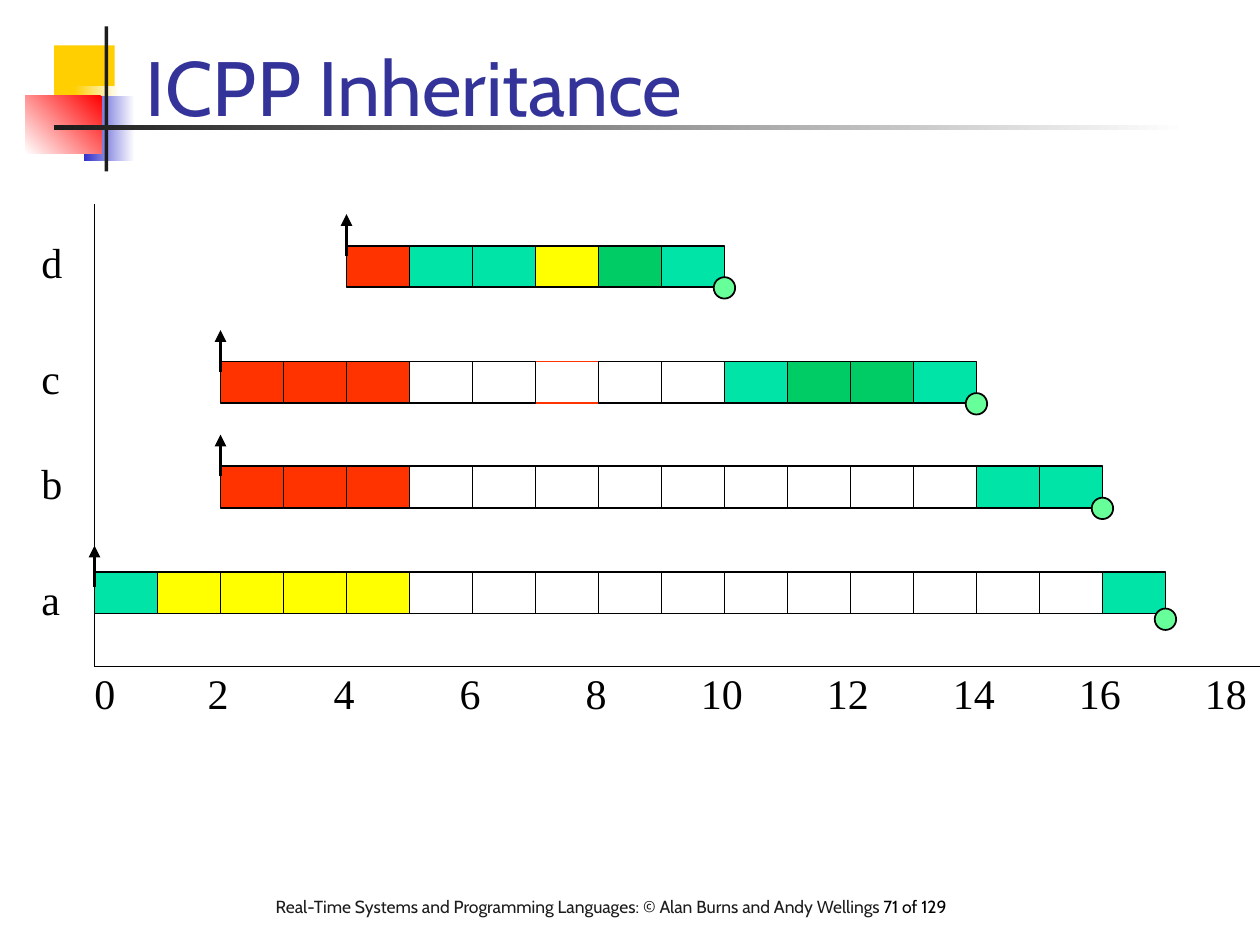
from dataclasses import dataclass
from typing import Optional

from lxml import etree
from pptx import Presentation
from pptx.dml import color
from pptx.enum import shapes, text
from pptx.oxml import ns
from pptx.util import Inches, Pt

RGB = color.RGBColor
BLACK = RGB(0x00, 0x00, 0x00)
WHITE = RGB(0xFF, 0xFF, 0xFF)
CHARCOAL = RGB(0x1C, 0x1C, 0x1C)
GOLD = RGB(0xFF, 0xCF, 0x01)
BLUE = RGB(0x33, 0x33, 0xCC)
NAVY = RGB(0x33, 0x33, 0x99)
PURE_RED = RGB(0xFF, 0x00, 0x00)
RED = RGB(0xFF, 0x33, 0x00)
YELLOW = RGB(0xFF, 0xFF, 0x00)
TEAL = RGB(0x00, 0xE4, 0xA8)
GREEN = RGB(0x00, 0xCC, 0x66)
MINT = RGB(0x66, 0xFF, 0x99)

CELL_FILLS = {"r": RED, "y": YELLOW, "t": TEAL, "g": GREEN, ".": None, "o": None}
ORIGIN_X, AXIS_TOP, AXIS_Y = 0.75, 1.62, 5.29
CELL_WIDTH, CELL_HEIGHT = 0.5, 0.33
DOT_SIZE = 0.17
RECTANGLE = shapes.MSO_SHAPE.RECTANGLE
OVAL = shapes.MSO_SHAPE.OVAL


@dataclass(frozen=True)
class Ornament:
    left: float
    top: float
    width: float
    height: float
    colors: tuple
    angle: int = 180


@dataclass(frozen=True)
class Task:
    name: str
    start: int
    cells: str
    bar_top: float
    marker_top: float
    label_top: float


@dataclass(frozen=True)
class Run:
    words: str
    size: int
    font: str
    tint: RGB


ORNAMENTS = (
    Ornament(0.43, 0.36, 0.48, 0.52, (GOLD,)),
    Ornament(0.59, 0.68, 0.36, 0.52, (WHITE, GOLD)),
    Ornament(0.67, 0.76, 0.4, 0.52, (WHITE, BLUE)),
    Ornament(0.2, 0.76, 0.61, 0.46, (PURE_RED, WHITE), 225),
    Ornament(0.83, 0.21, 0.03, 1.15, (CHARCOAL,)),
    Ornament(0.43, 0.99, 9, 0.04, (WHITE, CHARCOAL)),
)
TASKS = (
    Task("a", 0, "tyyyy" + "." * 11 + "t", 4.54, 4.58, 4.5),
    Task("b", 2, "rrr" + "." * 9 + "tt", 3.7, 3.7, 3.58),
    Task("c", 2, "rrr..o..tggt", 2.87, 2.87, 2.75),
    Task("d", 4, "rttygt", 1.95, 1.95, 1.83),
)


def time_x(time: int) -> float:
    return ORIGIN_X + time * CELL_WIDTH


def add_figure(page, kind, left: float, top: float, width: float, height: float,
               fill: Optional[RGB] = None, outline: Optional[RGB] = None):
    figure = page.shapes.add_shape(
        kind, Inches(left), Inches(top), Inches(width), Inches(height))
    figure.shadow.inherit = False
    if fill is None:
        figure.fill.background()
    else:
        figure.fill.solid()
        figure.fill.fore_color.rgb = fill
    if outline is None:
        figure.line.fill.background()
    else:
        figure.line.color.rgb = outline
        figure.line.width = Pt(1)
    return figure


def add_ornament(page, ornament: Ornament) -> None:
    figure = add_figure(page, RECTANGLE, ornament.left, ornament.top,
                        ornament.width, ornament.height, ornament.colors[0])
    if len(ornament.colors) > 1:
        figure.fill.gradient()
        figure.fill.gradient_angle = ornament.angle
        for stop, tint in zip(figure.fill.gradient_stops, ornament.colors):
            stop.color.rgb = tint


def add_line(page, start: tuple, end: tuple, width: float = 1, arrow: bool = False) -> None:
    line = page.shapes.add_connector(
        shapes.MSO_CONNECTOR.STRAIGHT, *(Inches(value) for value in start + end))
    line.line.color.rgb = BLACK
    line.line.width = Pt(width)
    if arrow:
        etree.SubElement(line.line._get_or_add_ln(), ns.qn("a:tailEnd"), type="triangle")
    etree.SubElement(line._element.spPr, ns.qn("a:effectLst"))


def add_text(page, left: float, top: float, width: float, height: float,
             runs: tuple, frame_format: dict) -> None:
    box = page.shapes.add_textbox(
        Inches(left), Inches(top), Inches(width), Inches(height))
    for name, value in frame_format.items():
        setattr(box.text_frame, name, value)
    para = box.text_frame.paragraphs[0]
    for run in runs:
        span = para.add_run()
        span.text = run.words
        for name, value in {"size": Pt(run.size), "name": run.font}.items():
            setattr(span.font, name, value)
        span.font.color.rgb = run.tint


def add_label(page, words: str, left: float, top: float, width: float) -> None:
    add_text(page, left, top, width, 0.5, (Run(words, 24, "Times New Roman", BLACK),),
             {"word_wrap": False, "auto_size": text.MSO_AUTO_SIZE.SHAPE_TO_FIT_TEXT})


def add_task(page, task: Task) -> None:
    cells = sorted(enumerate(task.cells, task.start), key=lambda cell: cell[1] != "o")
    for time, state in cells:
        add_figure(page, RECTANGLE, time_x(time), task.bar_top, CELL_WIDTH, CELL_HEIGHT,
                   CELL_FILLS[state], RED if state == "o" else BLACK)
    add_label(page, task.name, 0.23, task.label_top, 0.36)
    release = time_x(task.start)
    arrow_top = task.marker_top - 0.25
    add_line(page, (release, arrow_top + CELL_HEIGHT), (release, arrow_top), 2.25, True)
    finish = time_x(task.start + len(task.cells))
    add_figure(page, OVAL, finish - DOT_SIZE / 2, task.marker_top + 0.25,
               DOT_SIZE, DOT_SIZE, MINT, BLACK)


def add_tick(page, time: int) -> None:
    width = 0.36 if time < 10 else 0.53
    center = time_x(time) + (-0.02 if time else 0.08)
    add_label(page, str(time), center - width / 2, 5.25, width)


def main() -> None:
    deck = Presentation()
    deck.slide_width, deck.slide_height = Inches(10), Inches(7.5)
    page = deck.slides.add_slide(deck.slide_layouts[6])
    for ornament in ORNAMENTS:
        add_ornament(page, ornament)
    footer = "Real-Time Systems and Programming Languages: © Alan Burns and Andy Wellings "
    add_text(page, 2.09, 7.06, 6.06, 0.46,
             (Run(footer, 10, "Cabin", CHARCOAL), Run("71 of 129", 10, "Cabin", BLACK)),
             {"word_wrap": True})
    add_text(page, 1.06, 0.13, 8.52, 0.97, (Run("ICPP Inheritance", 44, "Cabin", NAVY),),
             {"word_wrap": True, "vertical_anchor": text.MSO_ANCHOR.BOTTOM})
    add_line(page, (ORIGIN_X, AXIS_TOP), (ORIGIN_X, AXIS_Y))
    add_line(page, (ORIGIN_X, AXIS_Y), (10, AXIS_Y))
    for task in TASKS:
        add_task(page, task)
    for time in range(0, 19, 2):
        add_tick(page, time)
    deck.save("out.pptx")


if __name__ == "__main__":
    main()
